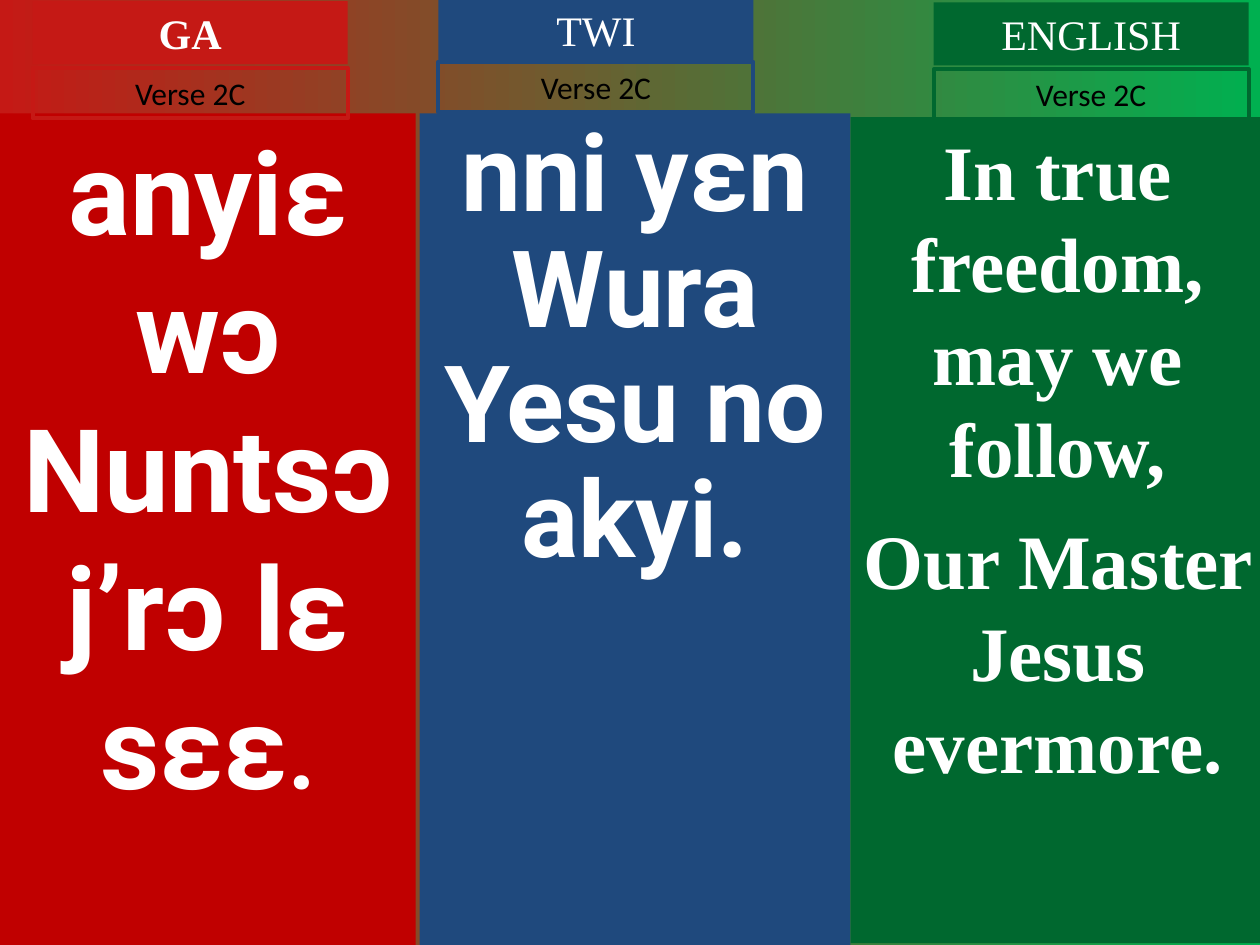
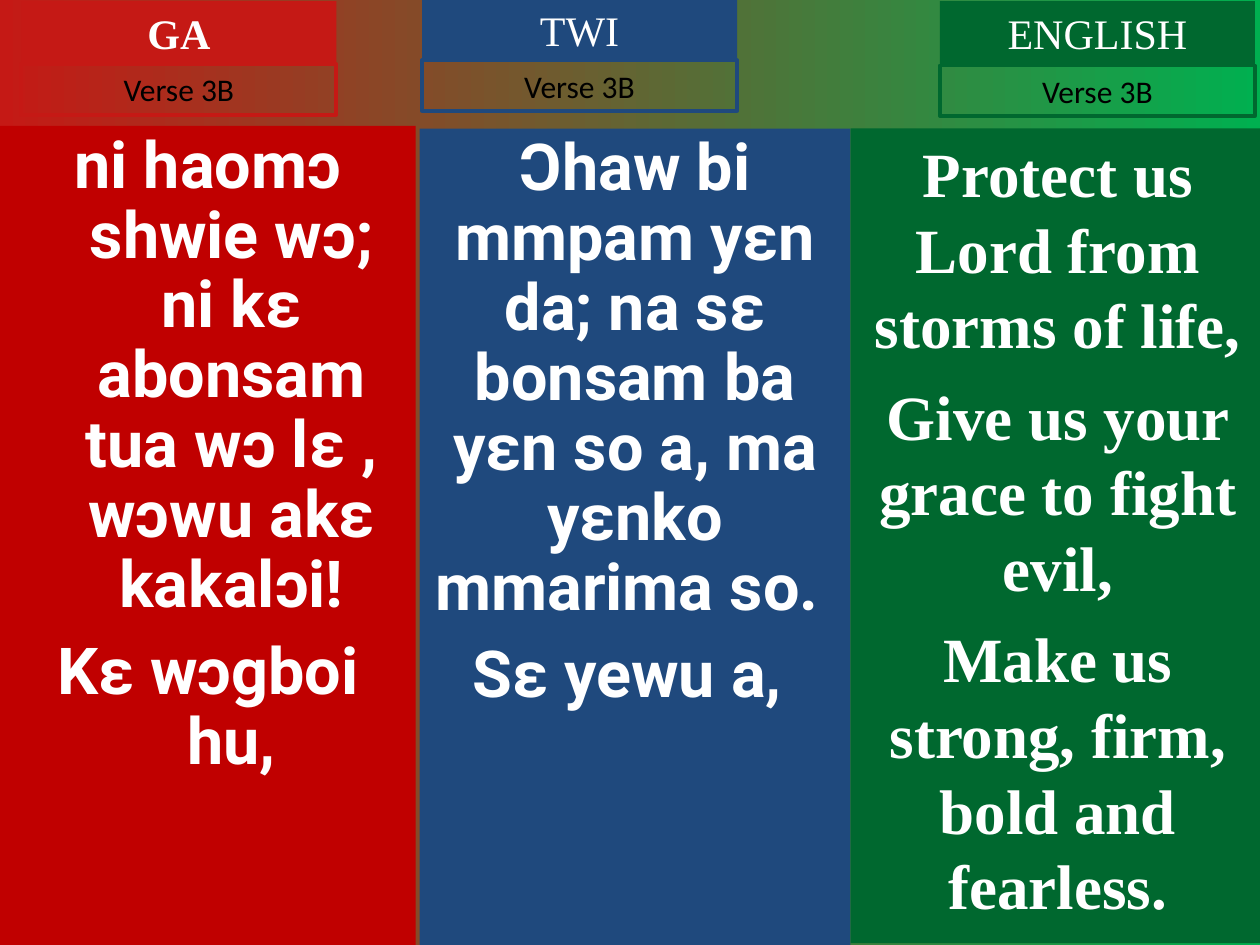
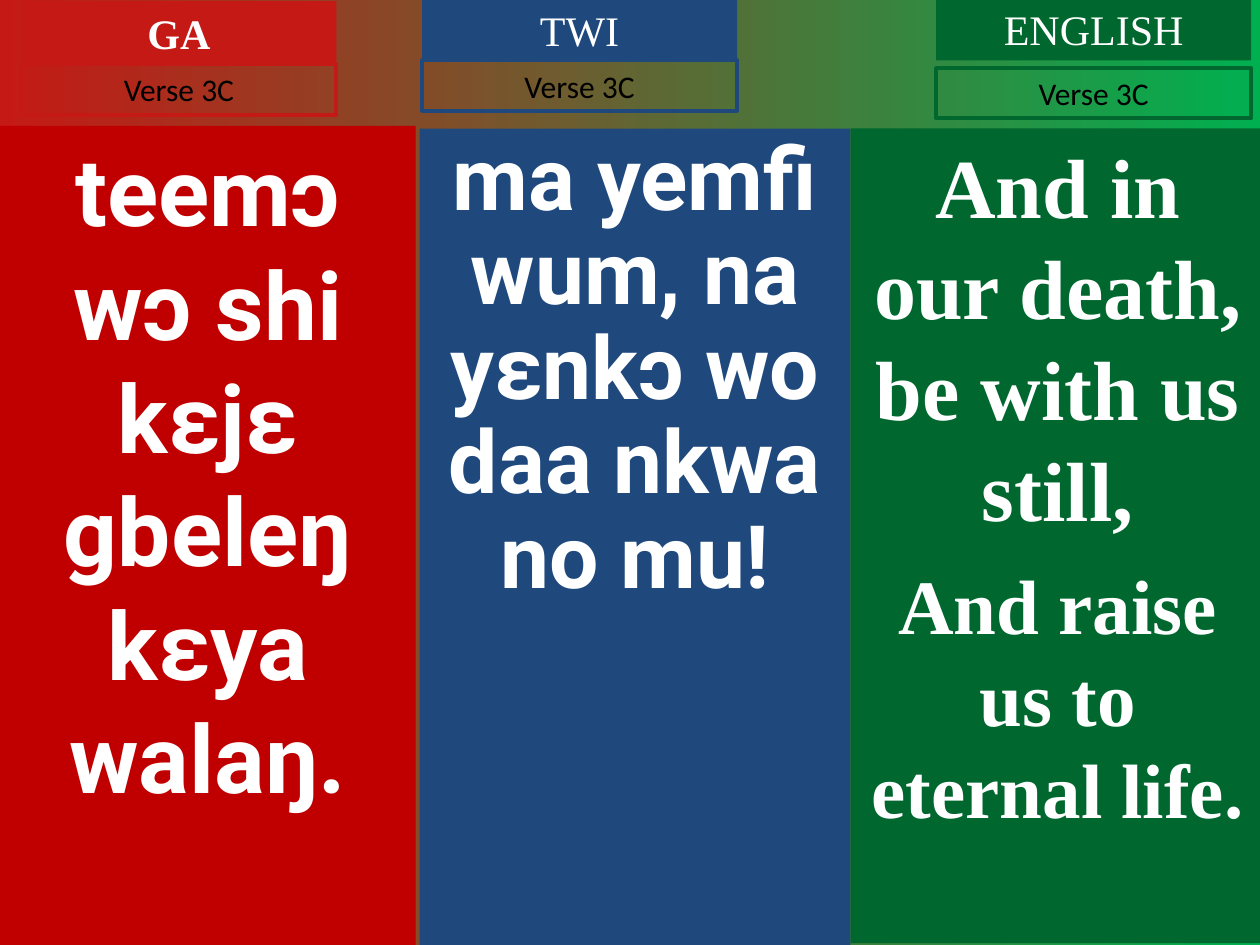
from dataclasses import dataclass

from pptx import Presentation
from pptx.dml.color import RGBColor
from pptx.enum.shapes import MSO_SHAPE
from pptx.enum.text import MSO_ANCHOR, PP_ALIGN
from pptx.util import Pt


@dataclass(frozen=True)
class Theme:
    """Colours, fonts and type sizes shared by all slides."""
    red: str = "C51915"
    deep_red: str = "C00000"
    blue: str = "1F497D"
    green: str = "00682F"
    bright_green: str = "00B050"
    white: str = "FFFFFF"
    black: str = "000000"
    lyric_font: str = "Roboto"
    serif_font: str = "Times New Roman"
    verse_font: str = "Calibri"
    language_size: float = 24
    verse_size: float = 18
    outline: float = 2.25


@dataclass(frozen=True)
class Language:
    """The fixed look and place of one language column."""
    name: str
    left: float
    width: float
    bottom: float
    fill: str
    accent: str
    font: str
    bold_name: bool = False


@dataclass(frozen=True)
class Lyrics:
    """The words of one column, each paragraph a list of (text, size) runs."""
    paragraphs: list
    gap: float = 0
    spacing: float = None
    hanging: float = 0


T = Theme()
SLIDE_W, SLIDE_H = 720, 540
LABEL_W, LANGUAGE_H, VERSE_H = 180, 36, 28.8

LANGUAGES = [
    Language("GA", 0, 237.6, 540, T.deep_red, T.red, T.lyric_font, True),
    Language("TWI", 239.76, 246.24, 540, T.blue, T.blue, T.lyric_font),
    Language("ENGLISH", 486, 236.88, 539, T.green, T.green, T.serif_font),
]

LATER_TOPS = [72, 73.44, 73.44]

SLIDES = [
    ("Verse 2C", [64.8, 64.8, 66.96],
     [(18.72, 0.72, 38.88), (250.56, -0.72, 35.28), (533.52, 1.44, 39.6)],
     [Lyrics([[("anyiɛ wɔ Nuntsɔ j’rɔ lɛ sɛɛ", 66), (".", 54)]]),
      Lyrics([[("nni yɛn Wura Yesu no akyi.", 61)]], spacing=0.9),
      Lyrics([[("In true freedom, may we follow,", 44)],
              [("Our Master Jesus evermore.", 44)]], gap=11)]),
    ("Verse 3B", LATER_TOPS,
     [(12.24, 0.72, 36.72), (241.2, -0.72, 34.56), (537.12, 0.72, 37.44)],
     [Lyrics([[("ni haomɔ shwie wɔ; ni kɛ abonsam tua wɔ lɛ , wɔwu akɛ kakalɔi!", 37)],
              [("Kɛ wɔgboi hu,", 37)]], gap=10, spacing=0.9, hanging=27),
      Lyrics([[("Ɔhaw bi mmpam yɛn da; na sɛ bonsam ba yɛn so a, "
                "ma yɛnko mmarima so. ", 37)],
              [("Sɛ yewu a, ", 37)]], gap=10, spacing=0.9),
      Lyrics([[("Protect us Lord from storms of life,", 36)],
              [("Give us your grace to fight evil,", 36)],
              [("Make us strong, firm, bold and fearless.", 36)]], gap=9)]),
    ("Verse 3C", LATER_TOPS,
     [(12.24, 0.72, 36.72), (241.2, -0.72, 34.56), (534.96, -1.44, 38.88)],
     [Lyrics([[("teemɔ wɔ shi kɛjɛ gbeleŋ kɛya walaŋ.", 54)]]),
      Lyrics([[("ma yemfi wum, na yɛnkɔ wo daa nkwa no mu!", 50)]], spacing=0.9),
      Lyrics([[("And in our death, be with us still,", 48)],
              [("And raise us to eternal life.", 44)]], gap=11)]),
]


def add_box(s, left, top, width, height, fill=None, line=None):
    """Add a flat rectangle with top-anchored text and return it."""
    sp = s.shapes.add_shape(MSO_SHAPE.RECTANGLE, Pt(left), Pt(top), Pt(width), Pt(height))
    sp.shadow.inherit = False
    if fill:
        sp.fill.solid()
        sp.fill.fore_color.rgb = RGBColor.from_string(fill)
    else:
        sp.fill.background()
    if line:
        sp.line.color.rgb = RGBColor.from_string(line)
        sp.line.width = Pt(T.outline)
    else:
        sp.line.fill.background()
    sp.text_frame.word_wrap = True
    sp.text_frame.vertical_anchor = MSO_ANCHOR.TOP
    return sp


def add_run(p, text, font, size, color, bold=False):
    """Append one formatted run to a centred paragraph."""
    p.alignment = PP_ALIGN.CENTER
    r = p.add_run()
    r.text = text
    r.font.name = font
    r.font.size = Pt(size)
    r.font.bold = bold
    r.font.color.rgb = RGBColor.from_string(color)


def add_lyrics(s, language, top, lyrics):
    """Add the tall lyric panel of one language."""
    sp = add_box(s, language.left, top, language.width, language.bottom - top, language.fill)
    tf = sp.text_frame
    for i, runs in enumerate(lyrics.paragraphs):
        p = tf.add_paragraph() if i else tf.paragraphs[0]
        if lyrics.hanging:
            pPr = p._p.get_or_add_pPr()
            pPr.set("marL", str(Pt(lyrics.hanging)))
            pPr.set("indent", str(-Pt(lyrics.hanging)))
        if lyrics.spacing:
            p.line_spacing = lyrics.spacing
        p.space_before = Pt(lyrics.gap if i else 0)
        for text, size in runs:
            add_run(p, text, language.font, size, T.white, True)


def add_labels(s, language, verse, left, language_top, verse_top):
    """Add the filled language label and the outlined verse label."""
    sp = add_box(s, left, language_top, LABEL_W, LANGUAGE_H, fill=language.accent)
    add_run(sp.text_frame.paragraphs[0], language.name, T.serif_font,
            T.language_size, T.white, language.bold_name)
    sp = add_box(s, left, verse_top, LABEL_W, VERSE_H, line=language.accent)
    add_run(sp.text_frame.paragraphs[0], verse, T.verse_font, T.verse_size, T.black)


def set_background(s):
    """Fill the slide background with a red to green gradient."""
    fill = s.background.fill
    fill.gradient()
    fill.gradient_angle = 0
    for stop, position, color in zip(fill.gradient_stops, (0, 1), (T.red, T.bright_green)):
        stop.position = position
        stop.color.rgb = RGBColor.from_string(color)


def add_verse_slide(prs, verse, tops, labels, columns):
    """Add one slide with a verse in three languages side by side."""
    s = prs.slides.add_slide(prs.slide_layouts[6])
    set_background(s)
    for language, top, label, lyrics in zip(LANGUAGES, tops, labels, columns):
        add_lyrics(s, language, top, lyrics)
        add_labels(s, language, verse, *label)


def main():
    """Build and save the presentation."""
    prs = Presentation()
    prs.slide_width, prs.slide_height = Pt(SLIDE_W), Pt(SLIDE_H)
    for slide in SLIDES:
        add_verse_slide(prs, *slide)
    prs.save("out.pptx")


if __name__ == "__main__":
    main()
